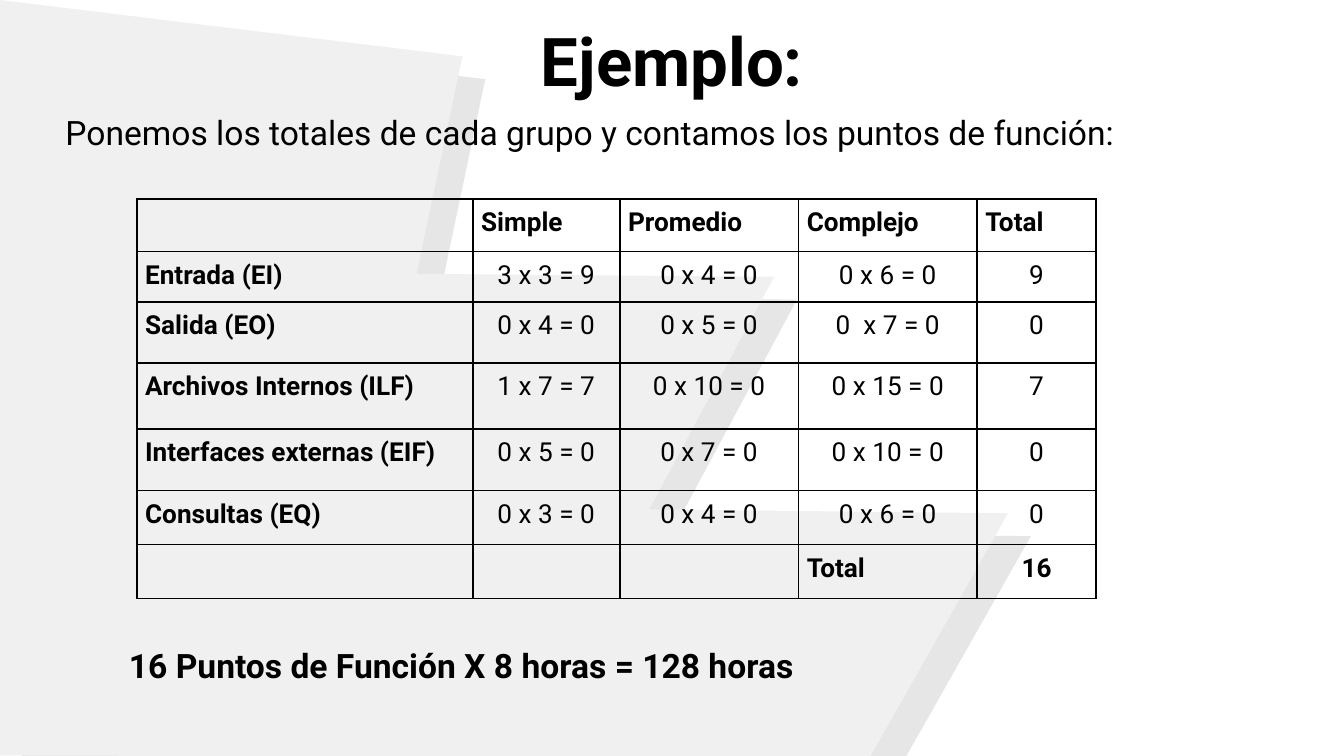
from lxml.etree import SubElement
from pptx import Presentation
from pptx.dml.color import RGBColor
from pptx.enum.text import MSO_ANCHOR as Anchor, PP_ALIGN as Align
from pptx.oxml.ns import qn
from pptx.util import Pt

BLACK = RGBColor(0x00, 0x00, 0x00)
LIGHT_GREY = RGBColor(0xF0, 0xF0, 0xF0)
SHADE_GREY = RGBColor(0xE6, 0xE6, 0xE6)

BOLT = [(0, 0), (247.7, 30.2), (223.2, 146.7), (414.7, 148.3),
        (347.8, 272.9), (540, 275), (465.8, 406), (-0.7, 404.7)]
BOLT_OFFSET = 12.25

COLUMNS = [180, 78.75, 95.75, 95.75, 63.75]
ROWS = [28.25, 27, 32.75, 35.25, 33, 29, 29]
POINTS = [
    ["", "Simple", "Promedio", "Complejo", "Total"],
    ["Entrada (EI)", "3 x 3 = 9", "0 x 4 = 0", "0 x 6 = 0", "9"],
    ["Salida (EO)", "0 x 4 = 0", "0 x 5 = 0", "0  x 7 = 0", "0"],
    ["Archivos Internos (ILF)", "1 x 7 = 7", "0 x 10 = 0", "0 x 15 = 0", "7"],
    ["Interfaces externas (EIF)", "0 x 5 = 0", "0 x 7 = 0", "0 x 10 = 0", "0"],
    ["Consultas (EQ)", "0 x 3 = 0", "0 x 4 = 0", "0 x 6 = 0", "0"],
    ["", "", "", "Total", "16"],
]


def write(tf, text, size=18, bold=False, align=Align.LEFT, color=BLACK, font="Roboto"):
    p = tf.paragraphs[0]
    p.alignment = align
    p.font.size = Pt(size)
    if text:
        r = p.add_run()
        r.text = text
        r.font.name = font
        r.font.size = Pt(size)
        r.font.bold = bold
        r.font.color.rgb = color


def set_borders(cell, color=BLACK, width=1):
    tcPr = cell._tc.get_or_add_tcPr()
    for side in ("lnL", "lnR", "lnT", "lnB"):
        ln = SubElement(tcPr, qn(f"a:{side}"), w=str(Pt(width)))
        fill = SubElement(ln, qn("a:solidFill"))
        SubElement(fill, qn("a:srgbClr"), val=str(color))


class SlideBuilder:
    """Holds the current slide and the style of its elements."""

    table_size = 14
    cell_margin = Pt(4.5)

    def __init__(self, slide):
        self.slide = slide
        self.shapes = slide.shapes

    def title(self, text, left, top, width, height):
        sp = self.shapes.title
        sp.left, sp.top, sp.width, sp.height = map(Pt, (left, top, width, height))
        tf = sp.text_frame
        tf.vertical_anchor = Anchor.TOP
        tf.margin_top = tf.margin_bottom = Pt(7.2)
        write(tf, text, size=36, bold=True, align=Align.CENTER)

    def backdrop(self, points, offset, color):
        """Draw a filled outline behind the title."""
        corners = [(Pt(x + offset), Pt(y + offset)) for x, y in points]
        builder = self.shapes.build_freeform(*corners[0])
        builder.add_line_segments(corners[1:], close=True)
        sp = builder.convert_to_shape()
        sp.shadow.inherit = False
        sp.fill.solid()
        sp.fill.fore_color.rgb = color
        sp.line.fill.background()
        self.shapes.title._element.addprevious(sp._element)

    def text(self, text, left, top, width, height, **style):
        sp = self.shapes.add_textbox(*map(Pt, (left, top, width, height)))
        sp.text_frame.word_wrap = True
        write(sp.text_frame, text, **style)

    def table(self, rows, left, top, widths, heights):
        frame = self.shapes.add_table(len(rows), len(widths), Pt(left), Pt(top),
                                      Pt(sum(widths)), Pt(sum(heights)))
        table = frame.table
        table.first_row = table.horz_banding = False
        for column, width in zip(table.columns, widths):
            column.width = Pt(width)
        for i, (row, height) in enumerate(zip(rows, heights)):
            table.rows[i].height = Pt(height)
            for j, text in enumerate(row):
                self.cell(table.cell(i, j), text,
                          is_label=i == 0 or j == 0 or text == "Total",
                          is_last_row=i == len(rows) - 1)

    def cell(self, cell, text, is_label, is_last_row):
        cell.margin_left = cell.margin_right = self.cell_margin
        cell.margin_top = cell.margin_bottom = self.cell_margin
        set_borders(cell)
        cell.fill.background()
        write(cell.text_frame, text, size=self.table_size,
              bold=is_label or is_last_row,
              align=Align.LEFT if is_label else Align.CENTER)


def main():
    prs = Presentation()
    prs.slide_width, prs.slide_height = Pt(720), Pt(405)
    s = SlideBuilder(prs.slides.add_slide(prs.slide_layouts[5]))
    s.backdrop(BOLT, BOLT_OFFSET, SHADE_GREY)
    s.backdrop(BOLT, 0, LIGHT_GREY)
    s.title("Ejemplo:", 34, 3, 652, 75.5)
    s.text("Ponemos los totales de cada grupo y contamos los puntos de función:",
           28, 56.5, 670, 29)
    s.table(POINTS, 73.25, 106.5, COLUMNS, ROWS)
    s.text("16 Puntos de Función X 8 horas = 128 horas", 62, 342, 388, 29, bold=True)
    prs.save("out.pptx")


if __name__ == "__main__":
    main()
